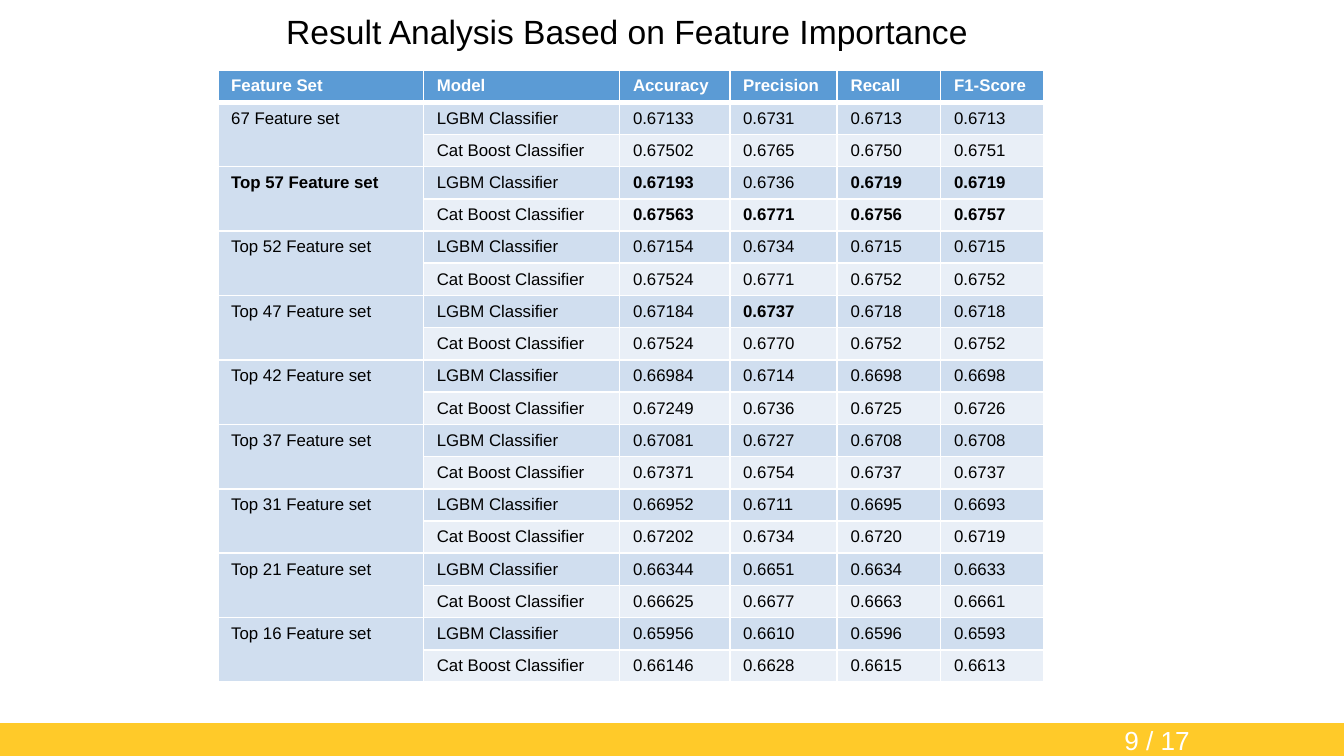
from lxml.etree import SubElement
from pptx import Presentation
from pptx.dml.color import RGBColor
from pptx.enum.shapes import MSO_SHAPE
from pptx.enum.text import MSO_ANCHOR, PP_ALIGN
from pptx.oxml.ns import qn
from pptx.util import Inches, Pt

COLORS = {
    "text": "000000",
    "white": "FFFFFF",
    "footer": "FFCA29",
    "header": "5B9BD5",
    "band_dark": "D0DEEF",
    "band_light": "E9EFF7",
}
FONT = "Arial"

HEADERS = ["Feature Set", "Model", "Accuracy", "Precision", "Recall", "F1-Score"]
MODELS = ["LGBM Classifier", "Cat Boost Classifier"]
COL_WIDTHS = [1.53, 1.46, 0.82, 0.8, 0.77, 0.77]
ROW_HEIGHT = 0.24

# Feature set, then the scores of each model; * marks bold entries
RESULTS = [
    ("67 Feature set", "0.67133 0.6731 0.6713 0.6713", "0.67502 0.6765 0.6750 0.6751"),
    ("*Top 57 Feature set", "*0.67193 0.6736 *0.6719 *0.6719",
     "*0.67563 *0.6771 *0.6756 *0.6757"),
    ("Top 52 Feature set", "0.67154 0.6734 0.6715 0.6715", "0.67524 0.6771 0.6752 0.6752"),
    ("Top 47 Feature set", "0.67184 *0.6737 0.6718 0.6718", "0.67524 0.6770 0.6752 0.6752"),
    ("Top 42 Feature set", "0.66984 0.6714 0.6698 0.6698", "0.67249 0.6736 0.6725 0.6726"),
    ("Top 37 Feature set", "0.67081 0.6727 0.6708 0.6708", "0.67371 0.6754 0.6737 0.6737"),
    ("Top 31 Feature set", "0.66952 0.6711 0.6695 0.6693", "0.67202 0.6734 0.6720 0.6719"),
    ("Top 21 Feature set", "0.66344 0.6651 0.6634 0.6633", "0.66625 0.6677 0.6663 0.6661"),
    ("Top 16 Feature set", "0.65956 0.6610 0.6596 0.6593", "0.66146 0.6628 0.6615 0.6613"),
]


def rgb(name):
    return RGBColor.from_string(COLORS[name])


def style_runs(p, size, color, bold=False):
    for r in p.runs:
        r.font.name = FONT
        r.font.size = Pt(size)
        r.font.bold = bold
        r.font.color.rgb = rgb(color)


def add_text(s, text, left, top, width, height, size, color, spacing=1.0):
    box = s.shapes.add_textbox(Inches(left), Inches(top), Inches(width), Inches(height))
    tf = box.text_frame
    tf.text = text
    tf.word_wrap = True
    tf.vertical_anchor = MSO_ANCHOR.MIDDLE
    p = tf.paragraphs[0]
    p.alignment = PP_ALIGN.CENTER
    p.line_spacing = spacing
    style_runs(p, size, color)


def add_footer_bar(s):
    bar = s.shapes.add_shape(MSO_SHAPE.RECTANGLE, 0, Inches(5.38), Inches(10), Inches(0.25))
    bar.shadow.inherit = False
    bar.fill.solid()
    bar.fill.fore_color.rgb = rgb("footer")
    bar.line.fill.background()


def set_borders(cell, top=1, bottom=1):
    tc_pr = cell._tc.get_or_add_tcPr()
    for side, width in (("L", 1), ("R", 1), ("T", top), ("B", bottom)):
        ln = SubElement(tc_pr, qn(f"a:ln{side}"), w=str(Pt(width)))
        fill = SubElement(ln, qn("a:solidFill"))
        SubElement(fill, qn("a:srgbClr"), val=COLORS["white"])


def fill_cell(cell, text, fill, color="text", bold=False, top=1, bottom=1):
    cell.text_frame.text = text.lstrip("*")
    style_runs(cell.text_frame.paragraphs[0], 9, color, bold or text.startswith("*"))
    # Room for the borders, so that rows keep their height
    cell.margin_bottom = Inches(0.02)
    set_borders(cell, top, bottom)
    cell.fill.solid()
    cell.fill.fore_color.rgb = rgb(fill)


def add_results_table(s):
    n_rows = 1 + len(RESULTS) * len(MODELS)
    table = s.shapes.add_table(
        n_rows, len(HEADERS), Inches(1.62), Inches(0.52),
        Inches(sum(COL_WIDTHS)), Inches(ROW_HEIGHT * n_rows)).table
    for col, width in zip(table.columns, COL_WIDTHS):
        col.width = Inches(width)
    for row in table.rows:
        row.height = Inches(ROW_HEIGHT)

    # Header row with a thicker rule below
    for c, text in enumerate(HEADERS):
        fill_cell(table.cell(0, c), text, "header", "white", bold=True, bottom=3)

    # Two model rows per feature set, with the set name merged over both
    for i, (feature_set, *scores) in enumerate(RESULTS):
        first = 1 + i * len(MODELS)
        for j, (model, values) in enumerate(zip(MODELS, scores)):
            row = first + j
            top = 3 if row == 1 else 1
            fill_cell(table.cell(row, 0), "" if j else feature_set, "band_dark", top=top)
            band = "band_light" if j else "band_dark"
            for c, text in enumerate([model, *values.split()], start=1):
                fill_cell(table.cell(row, c), text, band, top=top)
        table.cell(first, 0).merge(table.cell(first + len(MODELS) - 1, 0))


def main():
    prs = Presentation()
    # Widescreen 16:9
    prs.slide_width = Inches(10)
    prs.slide_height = Inches(10) * 9 // 16
    s = prs.slides.add_slide(prs.slide_layouts[6])

    # Title
    add_text(s, "Result Analysis Based on Feature Importance ",
             0.41, 0.04, 8.58, 0.42, 18, "text", spacing=0.9)

    # Footer with page number
    add_footer_bar(s)
    add_text(s, "9 / 17", 8.14, 5.38, 0.94, 0.25, 14, "white")

    # Results
    add_results_table(s)
    prs.save("out.pptx")


if __name__ == "__main__":
    main()
